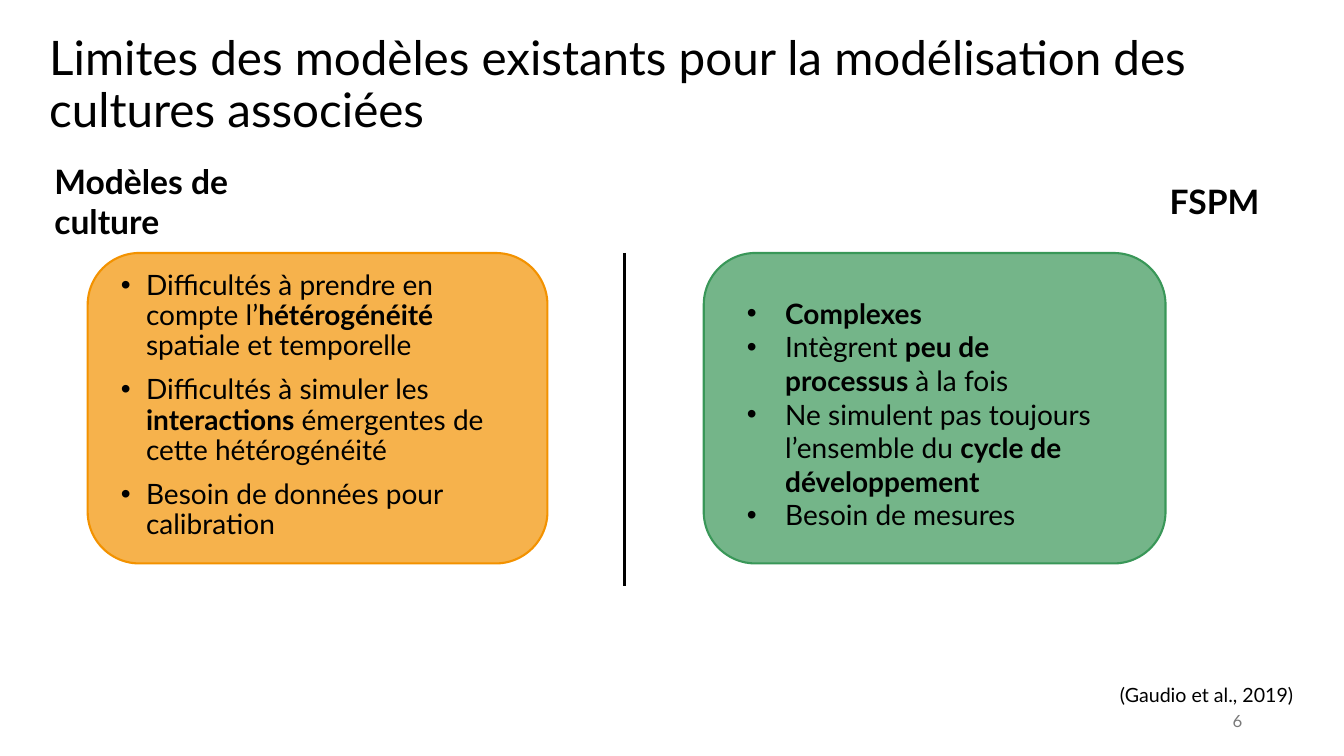
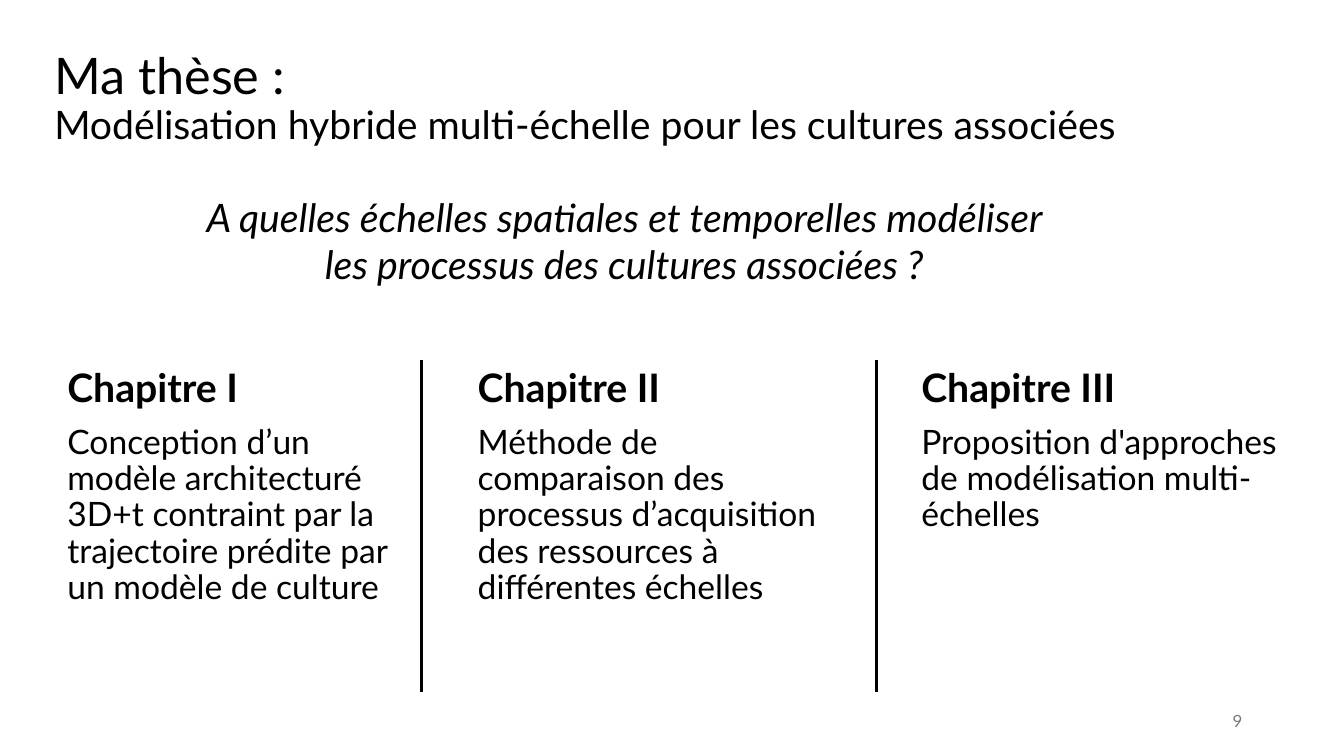
from dataclasses import dataclass

import lxml.etree
import pptx
import pptx.dml.color
import pptx.enum.shapes
import pptx.enum.text
import pptx.oxml.ns
import pptx.presentation
import pptx.shapes.autoshape
import pptx.slide
import pptx.text.text
import pptx.util

Inches = pptx.util.Inches
Pt = pptx.util.Pt
qn = pptx.oxml.ns.qn
ALIGN = pptx.enum.text.PP_ALIGN
ANCHOR = pptx.enum.text.MSO_ANCHOR

FONT = "Lato"
COLORS = {
    "text": "000000",
    "page_number": "797979",
    "crop_model": "F39200",
    "fspm": "399758",
}


@dataclass(frozen=True)
class Box:
    left: float
    top: float
    width: float
    height: float

    def lengths(self) -> tuple[int, int, int, int]:
        return Inches(self.left), Inches(self.top), Inches(self.width), Inches(self.height)


@dataclass(frozen=True)
class Style:
    size: float
    bold: bool = False
    italic: bool = False
    color: str = "text"
    align: ALIGN = ALIGN.LEFT
    line_spacing: float = 1.0
    space_before: float = 0
    bullet_indent: float = 0


@dataclass(frozen=True)
class ModelFamily:
    heading: str
    heading_box: Box
    heading_align: ALIGN
    color: str
    card: Box
    limits: tuple[str, ...]
    limits_box: Box
    limits_style: Style


@dataclass(frozen=True)
class Chapter:
    heading: str
    summary: str
    left: float
    width: float


@dataclass(frozen=True)
class TitleLine:
    text: str
    size: float


FAMILIES = (
    ModelFamily(
        "Modèles de culture", Box(0.44, 1.44, 2.95, 1.11), ALIGN.LEFT,
        "crop_model", Box(0.87, 2.51, 4.56, 3.08),
        (
            "Difficultés à prendre en compte l’*hétérogénéité* spatiale et temporelle",
            "Difficultés à simuler les *interactions* émergentes de cette hétérogénéité",
            "Besoin de données pour calibration",
        ),
        Box(1.1, 2.64, 4.02, 2.86),
        Style(20, line_spacing=0.9, space_before=10, bullet_indent=0.25),
    ),
    ModelFamily(
        "FSPM", Box(8.95, 1.33, 3.64, 1.32), ALIGN.RIGHT,
        "fspm", Box(6.98, 2.51, 4.58, 3.08),
        (
            "*Complexes*",
            "Intègrent *peu de processus *à la fois",
            "Ne simulent pas toujours l’ensemble du *cycle de développement*",
            "Besoin de mesures",
        ),
        Box(7.31, 2.89, 3.7, 2.46),
        Style(20, bullet_indent=0.38),
    ),
)

CHAPTERS = (
    Chapter(
        "Chapitre I",
        "Conception d’un modèle architecturé 3D+t contraint par la trajectoire "
        "prédite par un modèle de culture",
        0.57, 3.4,
    ),
    Chapter(
        "Chapitre II",
        "Méthode de comparaison des processus d’acquisition des ressources "
        "à différentes échelles",
        4.64, 3.73,
    ),
    Chapter(
        "Chapitre III",
        "Proposition d'approches de modélisation multi-échelles",
        9.04, 3.73,
    ),
)


def rgb(name: str) -> pptx.dml.color.RGBColor:
    return pptx.dml.color.RGBColor.from_string(COLORS[name])


def format_run(run: pptx.text.text._Run, style: Style, bold: bool) -> None:
    run.font.name = FONT
    run.font.size = Pt(style.size)
    run.font.bold = bold
    run.font.italic = style.italic
    run.font.color.rgb = rgb(style.color)


def add_bullet(paragraph: pptx.text.text._Paragraph, indent: float) -> None:
    properties = paragraph._p.get_or_add_pPr()
    properties.set("marL", str(Inches(indent)))
    properties.set("indent", str(-Inches(indent)))
    lxml.etree.SubElement(properties, qn("a:buFont")).set("typeface", "Arial")
    lxml.etree.SubElement(properties, qn("a:buChar")).set("char", "•")


def add_frame(
    slide: pptx.slide.Slide, box: Box, anchor: ANCHOR = ANCHOR.TOP
) -> pptx.text.text.TextFrame:
    frame = slide.shapes.add_textbox(*box.lengths()).text_frame
    frame.word_wrap = True
    frame.vertical_anchor = anchor
    return frame


def add_text(
    slide: pptx.slide.Slide,
    box: Box,
    content: tuple[tuple[str, Style], ...],
    anchor: ANCHOR = ANCHOR.TOP,
) -> None:
    frame = add_frame(slide, box, anchor)
    for index, (text, style) in enumerate(content):
        paragraph = frame.add_paragraph() if index else frame.paragraphs[0]
        if style.bullet_indent:
            add_bullet(paragraph, style.bullet_indent)
        paragraph.alignment = style.align
        paragraph.line_spacing = style.line_spacing
        paragraph.space_before = Pt(style.space_before if index else 0)
        for position, part in enumerate(text.split("*")):
            if part:
                run = paragraph.add_run()
                run.text = part
                format_run(run, style, style.bold or position % 2 == 1)


def add_title(slide: pptx.slide.Slide, left: float, top: float, lines: tuple[TitleLine, ...]) -> None:
    paragraph = add_frame(slide, Box(left, top, 11.5, 1.45), ANCHOR.MIDDLE).paragraphs[0]
    paragraph.text = "\v".join(line.text for line in lines)
    paragraph.line_spacing = 0.9
    for run, line in zip(paragraph.runs, lines):
        format_run(run, Style(line.size), False)


def add_page_number(slide: pptx.slide.Slide, number: int) -> None:
    style = Style(12, color="page_number", align=ALIGN.RIGHT)
    add_text(slide, Box(9.42, 6.95, 3, 0.4), ((str(number), style),), ANCHOR.MIDDLE)


def add_divider(slide: pptx.slide.Slide, x: float, top: float) -> None:
    divider = slide.shapes.add_connector(
        pptx.enum.shapes.MSO_CONNECTOR.STRAIGHT,
        Inches(x), Inches(top), Inches(x), Inches(top + 3.3),
    )
    divider.line.color.rgb = rgb("text")
    divider.line.width = Pt(2.25)
    lxml.etree.SubElement(divider.element.spPr, qn("a:effectLst"))


def add_card(slide: pptx.slide.Slide, box: Box, color: str) -> None:
    card = slide.shapes.add_shape(
        pptx.enum.shapes.MSO_SHAPE.ROUNDED_RECTANGLE, *box.lengths()
    )
    card.shadow.inherit = False
    card.fill.solid()
    card.fill.fore_color.rgb = rgb(color)
    fill_color = card.element.spPr.find(qn("a:solidFill")).find(qn("a:srgbClr"))
    lxml.etree.SubElement(fill_color, qn("a:alpha")).set("val", "70000")
    card.line.color.rgb = rgb(color)
    card.line.width = Pt(1.5)


def add_family(slide: pptx.slide.Slide, family: ModelFamily) -> None:
    add_card(slide, family.card, family.color)
    heading_style = Style(24, bold=True, align=family.heading_align)
    add_text(slide, family.heading_box, ((family.heading, heading_style),), ANCHOR.MIDDLE)
    limits = tuple((limit, family.limits_style) for limit in family.limits)
    add_text(slide, family.limits_box, limits)


def add_chapter(slide: pptx.slide.Slide, chapter: Chapter) -> None:
    content = (
        (chapter.heading, Style(28, bold=True, line_spacing=0.9)),
        (chapter.summary, Style(24, line_spacing=0.9, space_before=10)),
    )
    add_text(slide, Box(chapter.left, 3.61, chapter.width, 3.26), content)


def add_slide(deck: pptx.presentation.Presentation, number: int) -> pptx.slide.Slide:
    slide = deck.slides.add_slide(deck.slide_layouts[6])
    add_page_number(slide, number)
    return slide


def build_limits(deck: pptx.presentation.Presentation) -> None:
    slide = add_slide(deck, 6)
    title = "Limites des modèles existants pour la modélisation des cultures associées"
    add_title(slide, 0.39, 0.13, (TitleLine(title, 34),))
    for family in FAMILIES:
        add_family(slide, family)
    add_divider(slide, 6.19, 2.51)
    add_text(slide, Box(11.01, 6.73, 2.03, 0.34), (("(Gaudio et al., 2019)", Style(14)),))


def build_thesis(deck: pptx.presentation.Presentation) -> None:
    slide = add_slide(deck, 9)
    add_title(slide, 0.44, 0.26, (
        TitleLine("Ma thèse : ", 36),
        TitleLine("Modélisation hybride multi-échelle pour les cultures associées", 28),
    ))
    question = (
        "A quelles échelles spatiales et temporelles modéliser "
        "les processus des cultures associées ?"
    )
    question_style = Style(28, italic=True, align=ALIGN.CENTER)
    add_text(slide, Box(1.87, 1.87, 8.64, 1.04), ((question, question_style),))
    for chapter in CHAPTERS:
        add_chapter(slide, chapter)
    for x in (4.18, 8.69):
        add_divider(slide, x, 3.57)


def main() -> None:
    deck = pptx.Presentation()
    deck.slide_width = Inches(13.33)
    deck.slide_height = Inches(7.5)
    build_limits(deck)
    build_thesis(deck)
    deck.save("out.pptx")


if __name__ == "__main__":
    main()
